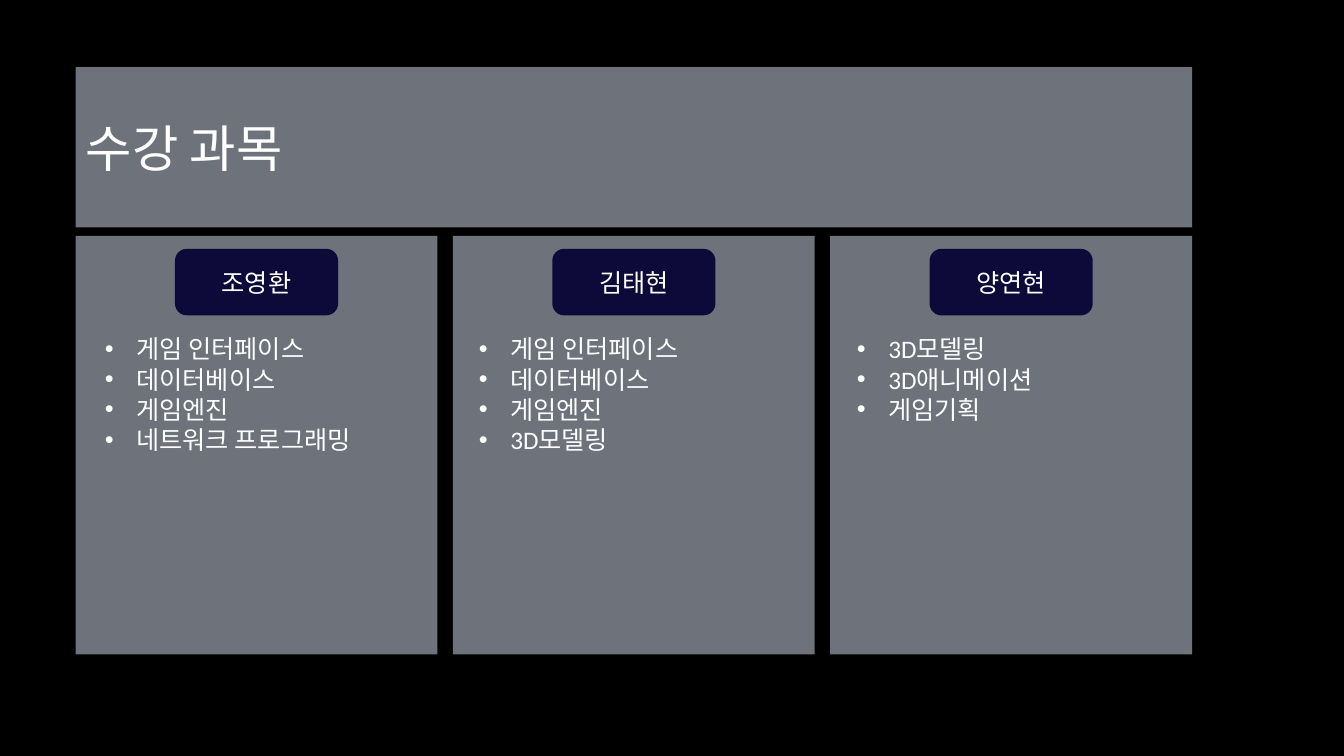
import lxml.etree
import pptx
import pptx.dml.color
import pptx.enum.shapes
import pptx.enum.text
import pptx.oxml.ns
import pptx.util

Pt = pptx.util.Pt
RGBColor = pptx.dml.color.RGBColor
ALIGN = pptx.enum.text.PP_ALIGN
ANCHOR = pptx.enum.text.MSO_ANCHOR
SHAPE = pptx.enum.shapes.MSO_SHAPE
qn = pptx.oxml.ns.qn

TITLE = "수강 과목"
STUDENTS = [
    {"name": "조영환", "left": 67.7, "width": 205,
     "courses": ["게임 인터페이스", "데이터베이스", "게임엔진", "네트워크 프로그래밍"]},
    {"name": "김태현", "left": 334.8, "width": 168.5,
     "courses": ["게임 인터페이스", "데이터베이스", "게임엔진", "3D모델링"]},
    {"name": "양연현", "left": 604.8, "width": 148,
     "courses": ["3D모델링", "3D애니메이션", "게임기획"]},
]

BLACK = RGBColor(0x00, 0x00, 0x00)
WHITE = RGBColor(0xFF, 0xFF, 0xFF)
PALE_BLUE = RGBColor(0xDA, 0xE5, 0xF6)
NAVY = RGBColor(0x0D, 0x0A, 0x3A)
FONT = "Calibri"

MARGIN = 54
PANEL_WIDTH, PANEL_HEIGHT, PANEL_TOP = 258.5, 299, 168.5
PANEL_PITCH = 269.5
BADGE_WIDTH, BADGE_HEIGHT, BADGE_TOP = 115, 46, 178.5
LIST_TOP, LINE_HEIGHT, INDENT = 234.7, 22, 22.5


def place(shape, left, top, width, height):
    shape.left, shape.top = Pt(left), Pt(top)
    shape.width, shape.height = Pt(width), Pt(height)


def fill_shape(shape, color, opacity=100):
    shape.fill.solid()
    shape.fill.fore_color.rgb = color
    if opacity < 100:
        color_element = shape.fill._xPr.find(".//" + qn("a:srgbClr"))
        alpha = lxml.etree.SubElement(color_element, qn("a:alpha"))
        alpha.set("val", str(opacity * 1000))


def add_bullet(paragraph):
    properties = paragraph._p.get_or_add_pPr()
    properties.set("marL", str(Pt(INDENT)))
    properties.set("indent", str(-Pt(INDENT)))
    lxml.etree.SubElement(properties, qn("a:buFont")).set("typeface", "Arial")
    lxml.etree.SubElement(properties, qn("a:buChar")).set("char", "•")


def write_text(shape, lines, size=18, align=ALIGN.LEFT, anchor=ANCHOR.MIDDLE, bullets=False):
    frame = shape.text_frame
    frame.text = "\n".join(lines)
    frame.word_wrap = True
    frame.auto_size = pptx.enum.text.MSO_AUTO_SIZE.NONE
    frame.vertical_anchor = anchor
    for paragraph in frame.paragraphs:
        paragraph.alignment = align
        paragraph.space_before = Pt(0)
        paragraph.line_spacing = 1.0
        if bullets:
            add_bullet(paragraph)
        font = paragraph.runs[0].font
        font.name, font.size, font.bold = FONT, Pt(size), False
        font.color.rgb = WHITE


def add_panel(slide, left):
    panel = slide.shapes.add_shape(SHAPE.RECTANGLE, 0, 0, 0, 0)
    place(panel, left, PANEL_TOP, PANEL_WIDTH, PANEL_HEIGHT)
    fill_shape(panel, PALE_BLUE, opacity=50)
    panel.line.fill.background()
    panel.shadow.inherit = False
    slide.shapes.element.insert(2, panel.element)


def add_badge(slide, left, name):
    badge = slide.shapes.add_shape(SHAPE.ROUNDED_RECTANGLE, 0, 0, 0, 0)
    place(badge, left, BADGE_TOP, BADGE_WIDTH, BADGE_HEIGHT)
    fill_shape(badge, NAVY)
    badge.line.color.rgb = NAVY
    badge.line.width = Pt(1.5)
    badge.shadow.inherit = False
    write_text(badge, [name], align=ALIGN.CENTER)


def main():
    presentation = pptx.Presentation()
    presentation.slide_width, presentation.slide_height = Pt(960), Pt(540)
    comparison_layout = presentation.slide_layouts[4]
    slide = presentation.slides.add_slide(comparison_layout)
    slide.background.fill.solid()
    slide.background.fill.fore_color.rgb = BLACK

    title, *bodies = slide.placeholders
    place(title, MARGIN, 48, 2 * PANEL_PITCH + PANEL_WIDTH, 114.5)
    fill_shape(title, PALE_BLUE, opacity=50)
    write_text(title, [TITLE], size=36)

    for index, (student, body) in enumerate(zip(STUDENTS, bodies)):
        panel_left = MARGIN + index * PANEL_PITCH
        add_panel(slide, panel_left)
        add_badge(slide, panel_left + (PANEL_WIDTH - BADGE_WIDTH) / 2, student["name"])
        list_height = LINE_HEIGHT * (len(student["courses"]) + 1) + 7
        place(body, student["left"], LIST_TOP, student["width"], list_height)
        write_text(body, student["courses"], anchor=ANCHOR.TOP, bullets=True)

    for unused in bodies[len(STUDENTS):]:
        slide.shapes.element.remove(unused.element)

    presentation.save("out.pptx")


if __name__ == "__main__":
    main()
